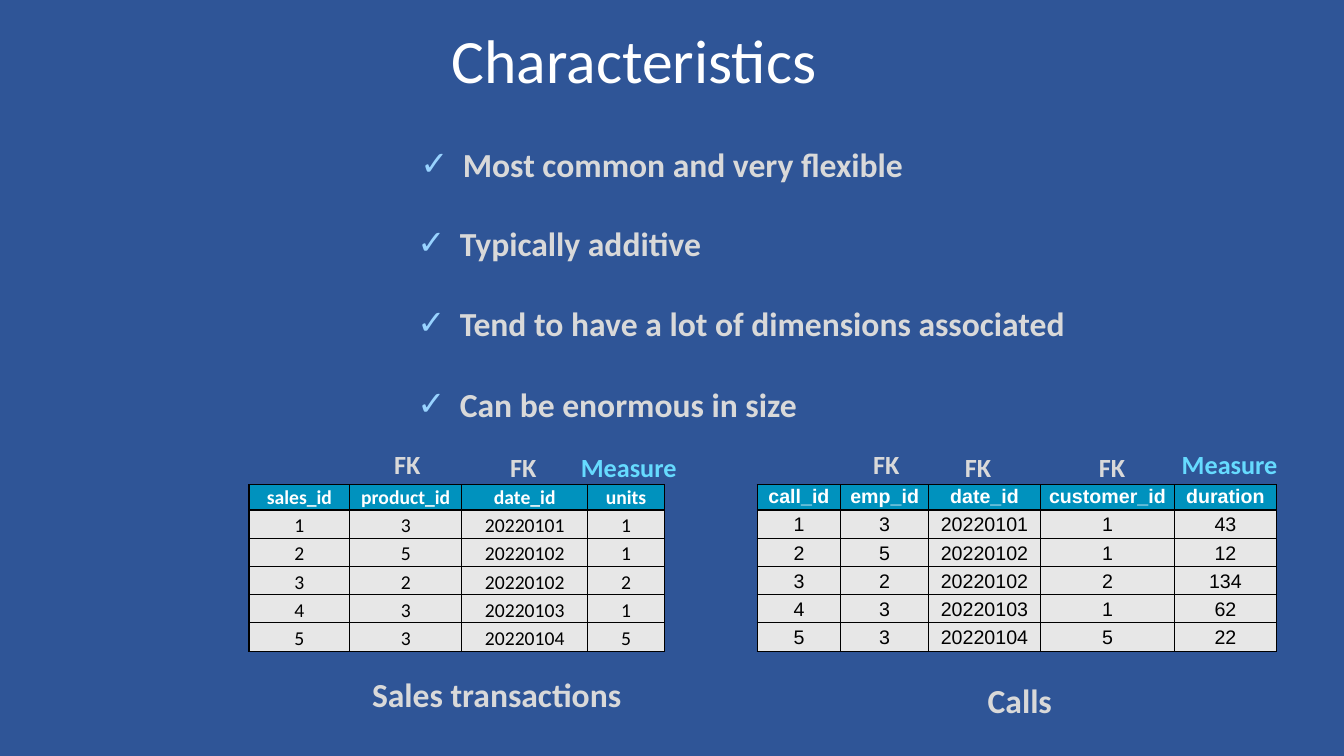
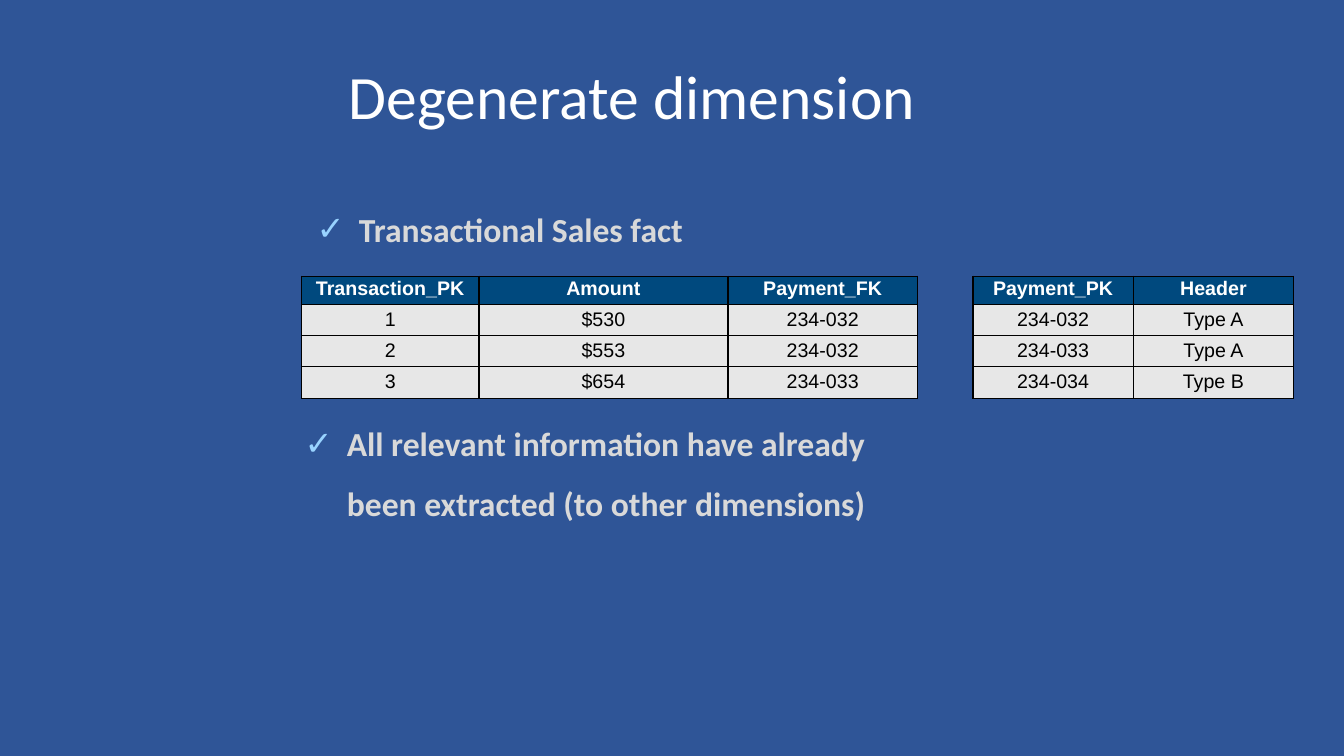
from lxml.etree import SubElement
from pptx import Presentation
from pptx.dml.color import RGBColor as RGB
from pptx.enum.text import MSO_ANCHOR as ANCHOR, MSO_AUTO_SIZE as FIT, PP_ALIGN as ALIGN
from pptx.oxml import parse_xml
from pptx.oxml.ns import nsdecls, qn
from pptx.util import Inches, Pt

HUES = {
    "back": "2F5597", "white": "FFFFFF", "text": "D9D9D9", "black": "000000",
    "tick": "99D3FF", "measure": "66DBFF", "cell": "E7E7E7",
    "teal": "0092BE", "navy": "00497E",
}


def put(par, text, size, hue, face="Calibri", bold=True, align=ALIGN.LEFT):
    """Add one formatted run to a paragraph."""
    par.alignment = align
    run = par.add_run()
    run.text = text
    font = run.font
    font.name, font.size, font.bold = face, Pt(size), bold
    font.color.rgb = RGB.from_string(HUES[hue])


def grid(slide, left, top, cols, highs, rows, hue, face):
    """Add a bordered table; highs holds the head and body row heights."""
    head, body = highs
    tall = head + body * (len(rows) - 1)
    table = slide.shapes.add_table(
        len(rows), len(cols), Inches(left), Inches(top),
        Inches(sum(cols)), Inches(tall)).table
    for col, wide in zip(table.columns, cols):
        col.width = Inches(wide)
    for r, row in enumerate(rows):
        table.rows[r].height = Inches(body if r else head)
        for c, text in enumerate(row):
            cell = table.cell(r, c)
            cell.margin_left = cell.margin_right = cell.margin_bottom = 0
            cell.margin_top = Inches(0.04 if r else 0.01)
            cell.fill.solid()
            cell.fill.fore_color.rgb = RGB.from_string(HUES["cell" if r else hue])
            props = cell._tc.get_or_add_tcPr()
            for i, side in enumerate("LRTB"):
                props.insert(i, parse_xml(
                    f'<a:ln{side} {nsdecls("a")} w="12700"><a:solidFill>'
                    f'<a:srgbClr val="{HUES["black"]}"/></a:solidFill></a:ln{side}>'))
            put(cell.text_frame.paragraphs[0], text, 14,
                "black" if r else "white", face, not r, ALIGN.CENTER)


prs = Presentation()
prs.slide_width, prs.slide_height = Inches(13.33), Inches(7.5)
fill = prs.slide_master.background.fill
fill.solid()
fill.fore_color.rgb = RGB.from_string(HUES["back"])

# Each page: layout, title, title box, title indent, list boxes.
# Each list line: indent, space before, ticked, text.
PAGES = [
    (1, "Characteristics", (2.2, 0.19, 8.79, 0.76), 2.28, [
        ((4.12, 1.41, 6.49, 2.83), [
            (0.47, 0, True, "Most common and very flexible"),
            (0.44, 27.5, True, "Typically additive"),
            (0.44, 28.5, True, "Tend to have a lot of dimensions associated"),
            (0.44, 29, True, "Can be enormous in size")])]),
    (3, "Degenerate dimension", (3.44, 0.55, 7.4, 0.76), 0.02, [
        ((3.12, 2.05, 3.7, 0.42), [
            (0.44, 0, True, "Transactional Sales fact")]),
        ((3, 4.18, 9.15, 1.02), [
            (0.44, 0, True, "All relevant information have already"),
            (0.44, 14, False, "been extracted (to other dimensions)")])]),
]
slides = []
for layout, name, place, indent, lists in PAGES:
    slide = prs.slides.add_slide(prs.slide_layouts[layout])
    slides.append(slide)
    boxes = [(place, [(indent, 0, False, name)])] + lists
    for holder, (place, lines) in zip(slide.placeholders, boxes):
        title = holder == slide.shapes.title
        holder.left, holder.top, holder.width, holder.height = map(Inches, place)
        frame = holder.text_frame
        frame.word_wrap, frame.auto_size = True, FIT.NONE
        frame.vertical_anchor = ANCHOR.MIDDLE if title else ANCHOR.TOP
        frame.margin_left = frame.margin_right = frame.margin_bottom = 0
        frame.margin_top = Inches(0.02)
        for i, (indent, gap, tick, text) in enumerate(lines):
            par = frame.add_paragraph() if i else frame.paragraphs[0]
            par.space_before = Pt(gap)
            props = par._p.get_or_add_pPr()
            props.set("marL", str(Inches(indent)))
            props.set("indent", str(Inches(-0.42 if tick else 0)))
            if tick:
                tint = SubElement(props, qn("a:buClr"))
                SubElement(tint, qn("a:srgbClr"), val=HUES["tick"])
                SubElement(props, qn("a:buChar"), char="✓")
            else:
                SubElement(props, qn("a:buNone"))
            if title:
                put(par, text, 44, "white", bold=False)
            else:
                put(par, text, 24, "text")

first, second = slides

grid(first, 7.51, 4.81, [0.83, 0.87, 1.11, 1.33, 1.01], (0.25, 0.28), [
    ("call_id", "emp_id", "date_id", "customer_id", "duration"),
    ("1", "3", "20220101", "1", "43"),
    ("2", "5", "20220102", "1", "12"),
    ("3", "2", "20220102", "2", "134"),
    ("4", "3", "20220103", "1", "62"),
    ("5", "3", "20220104", "5", "22")], "teal", "Arial")
grid(first, 2.47, 4.81, [1, 1.11, 1.25, 0.76], (0.25, 0.28), [
    ("sales_id", "product_id", "date_id", "units"),
    ("1", "3", "20220101", "1"),
    ("2", "5", "20220102", "1"),
    ("3", "2", "20220102", "2"),
    ("4", "3", "20220103", "1"),
    ("5", "3", "20220104", "5")], "teal", "Calibri")

# Key labels above the tables and captions below them.
KEY, NOTE = (0.33, 18.7), (0.42, 24)
LABELS = [
    ("FK", 3.89, 4.43, 0.3, KEY, "text"),
    ("FK", 5.04, 4.46, 0.3, KEY, "text"),
    ("Measure", 5.74, 4.46, 0.99, KEY, "measure"),
    ("FK", 8.64, 4.43, 0.3, KEY, "text"),
    ("FK", 9.55, 4.46, 0.3, KEY, "text"),
    ("FK", 10.88, 4.46, 0.3, KEY, "text"),
    ("Measure", 11.7, 4.43, 0.99, KEY, "measure"),
    ("Sales transactions", 3.67, 6.67, 2.9, NOTE, "text"),
    ("Calls", 8.57, 6.72, 3.07, NOTE, "text"),
]
for text, left, top, wide, (tall, size), hue in LABELS:
    box = first.shapes.add_textbox(
        Inches(left), Inches(top), Inches(wide), Inches(tall))
    frame = box.text_frame
    frame.word_wrap = True
    frame.margin_left = frame.margin_top = Inches(0.02)
    frame.margin_right = frame.margin_bottom = 0
    put(frame.paragraphs[0], text, size, hue,
        align=ALIGN.CENTER if text == "Calls" else ALIGN.LEFT)

grid(second, 2.99, 2.74, [1.76, 2.47, 1.88], (0.28, 0.31), [
    ("Transaction_PK", "Amount", "Payment_FK"),
    ("1", "$530", "234-032"),
    ("2", "$553", "234-032"),
    ("3", "$654", "234-033")], "navy", "Arial")
grid(second, 9.65, 2.74, [1.59, 1.59], (0.28, 0.31), [
    ("Payment_PK", "Header"),
    ("234-032", "Type A"),
    ("234-033", "Type A"),
    ("234-034", "Type B")], "navy", "Arial")

prs.save("out.pptx")
